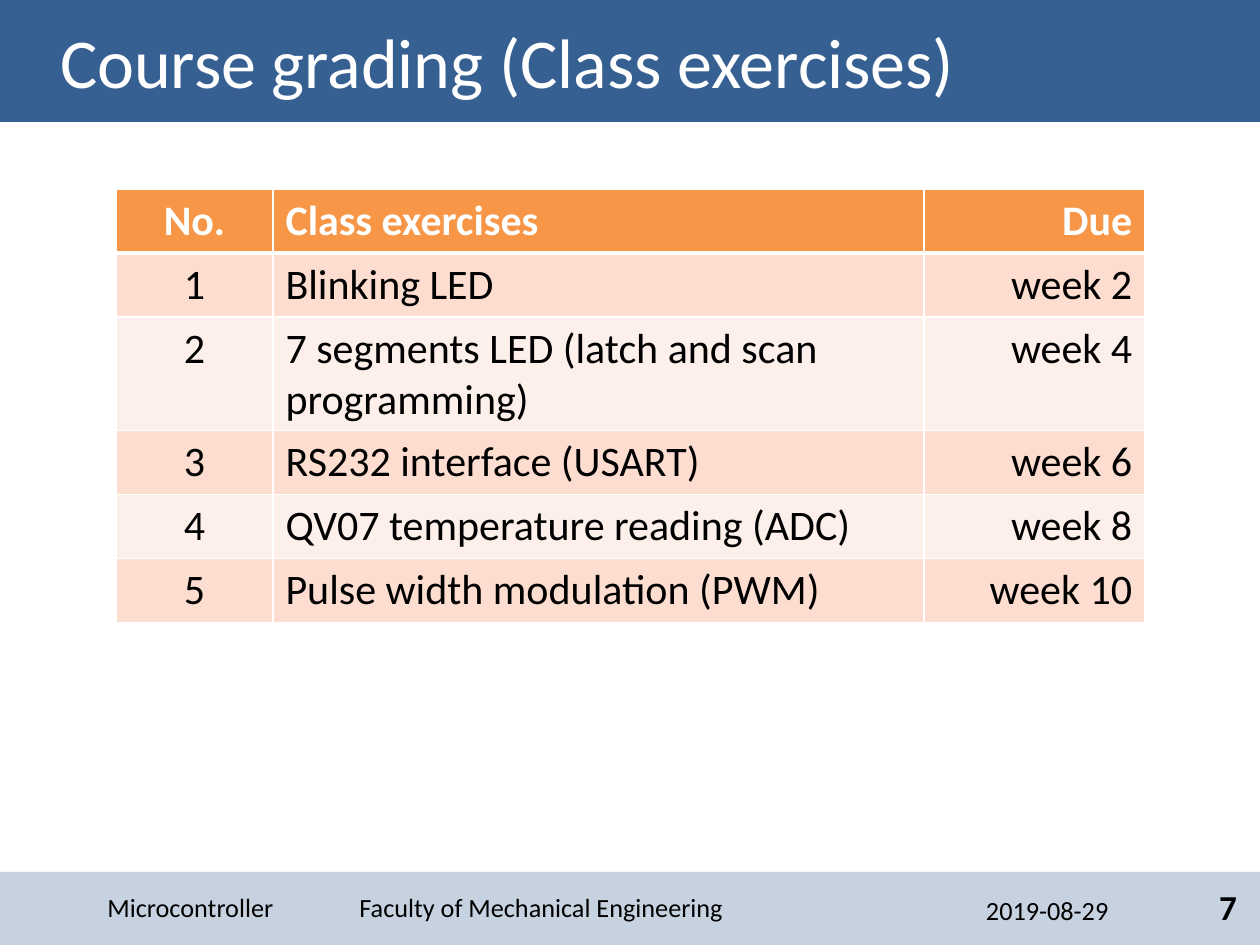
from lxml.etree import SubElement
from pptx import Presentation
from pptx.dml.color import RGBColor
from pptx.enum.shapes import MSO_SHAPE
from pptx.enum.text import MSO_ANCHOR, PP_ALIGN
from pptx.oxml.ns import qn
from pptx.util import Emu, Pt

FONT = "Calibri"
BLUE, ORANGE, WHITE, BLACK = "376092", "F79646", "FFFFFF", "000000"
BANDS = ["FDEFE9", "FCDDCF"]
COLUMN_WIDTHS = [157, 651, 221]
ROW_HEIGHT = 64
ALIGNMENTS = [PP_ALIGN.CENTER, PP_ALIGN.LEFT, PP_ALIGN.RIGHT]
ROWS = [
    ("No.", "Class exercises", "Due"),
    ("1", "Blinking LED", "week 2"),
    ("2", "7 segments LED (latch and scan programming)", "week 4"),
    ("3", "RS232 interface (USART)", "week 6"),
    ("4", "QV07 temperature reading (ADC)", "week 8"),
    ("5", "Pulse width modulation (PWM)", "week 10"),
]


def px(length):
    return Emu(round(length * 914400 / 126))


def color(value):
    return RGBColor.from_string(value)


def paint(target, value):
    target.fill.solid()
    target.fill.fore_color.rgb = color(value)


def style_span(span, size, value, bold=False):
    span.font.name = FONT
    span.font.size = Pt(size)
    span.font.bold = bold
    span.font.color.rgb = color(value)


def add_tab_stop(para, position, alignment):
    tabs = SubElement(para._p.get_or_add_pPr(), qn("a:tabLst"))
    SubElement(tabs, qn("a:tab"), pos=str(px(position)), algn=alignment)


def add_title(page, text):
    title = page.shapes.title
    title.left, title.top, title.width, title.height = px(0), px(0), px(1260), px(122)
    paint(title, BLUE)
    frame = title.text_frame
    frame.text = text
    frame.margin_left = px(60)
    frame.vertical_anchor = MSO_ANCHOR.MIDDLE
    para = frame.paragraphs[0]
    para.alignment = PP_ALIGN.LEFT
    style_span(para.runs[0], 40, WHITE)


def add_footer_band(page):
    band = page.shapes.add_shape(MSO_SHAPE.RECTANGLE, px(0), px(872), px(1260), px(73))
    band.shadow.inherit = False
    band.line.fill.background()
    paint(band, BLUE)
    fill_color = band.fill._xPr.find(qn("a:solidFill"))[0]
    SubElement(fill_color, qn("a:alpha")).set("val", "28000")


def add_footer_text(page, left, width):
    box = page.shapes.add_textbox(px(left), px(882), px(width), px(50))
    frame = box.text_frame
    frame.word_wrap = True
    frame.vertical_anchor = MSO_ANCHOR.MIDDLE
    return frame


def add_course(page, text):
    frame = add_footer_text(page, 95, 850)
    frame.text = text
    para = frame.paragraphs[0]
    style_span(para.runs[0], 15, BLACK)
    add_tab_stop(para, 252, "l")


def add_date_and_number(page, date, number):
    frame = add_footer_text(page, 904, 347)
    frame.margin_left = px(82)
    para = frame.paragraphs[0]
    for text, size, bold in [(date + "\t", 15, False), (number, 20, True)]:
        span = para.add_run()
        span.text = text
        style_span(span, size, BLACK, bold)
    add_tab_stop(para, 251, "r")


def set_borders(cell, widths):
    properties = cell._tc.get_or_add_tcPr()
    for index, (side, width) in enumerate(widths.items()):
        line = properties.makeelement(qn(f"a:{side}"), {"w": str(Pt(width))})
        fill = SubElement(line, qn("a:solidFill"))
        SubElement(fill, qn("a:srgbClr"), val=WHITE)
        properties.insert(index, line)


def fill_cell(cell, text, row, alignment):
    header = row == 0
    paint(cell, ORANGE if header else BANDS[row % 2])
    cell.text_frame.text = text
    para = cell.text_frame.paragraphs[0]
    para.alignment = alignment
    style_span(para.runs[0], 24, WHITE if header else BLACK, header)
    set_borders(cell, {"lnL": 1, "lnR": 1, "lnT": 3 if row == 1 else 1, "lnB": 3 if header else 1})


def add_grading_table(page):
    table = page.shapes.add_table(
        len(ROWS), len(COLUMN_WIDTHS), px(116), px(189),
        px(sum(COLUMN_WIDTHS)), px(ROW_HEIGHT * len(ROWS)),
    ).table
    for column, width in zip(table.columns, COLUMN_WIDTHS):
        column.width = px(width)
    for row, texts in enumerate(ROWS):
        table.rows[row].height = px(ROW_HEIGHT)
        for column, text in enumerate(texts):
            fill_cell(table.cell(row, column), text, row, ALIGNMENTS[column])


def main():
    deck = Presentation()
    deck.slide_width, deck.slide_height = px(1260), px(945)
    page = deck.slides.add_slide(deck.slide_layouts[5])
    add_footer_band(page)
    add_course(page, "Microcontroller\tFaculty of Mechanical Engineering")
    add_date_and_number(page, "2019-08-29", "7")
    add_title(page, "Course grading (Class exercises)")
    add_grading_table(page)
    deck.save("out.pptx")


if __name__ == "__main__":
    main()
